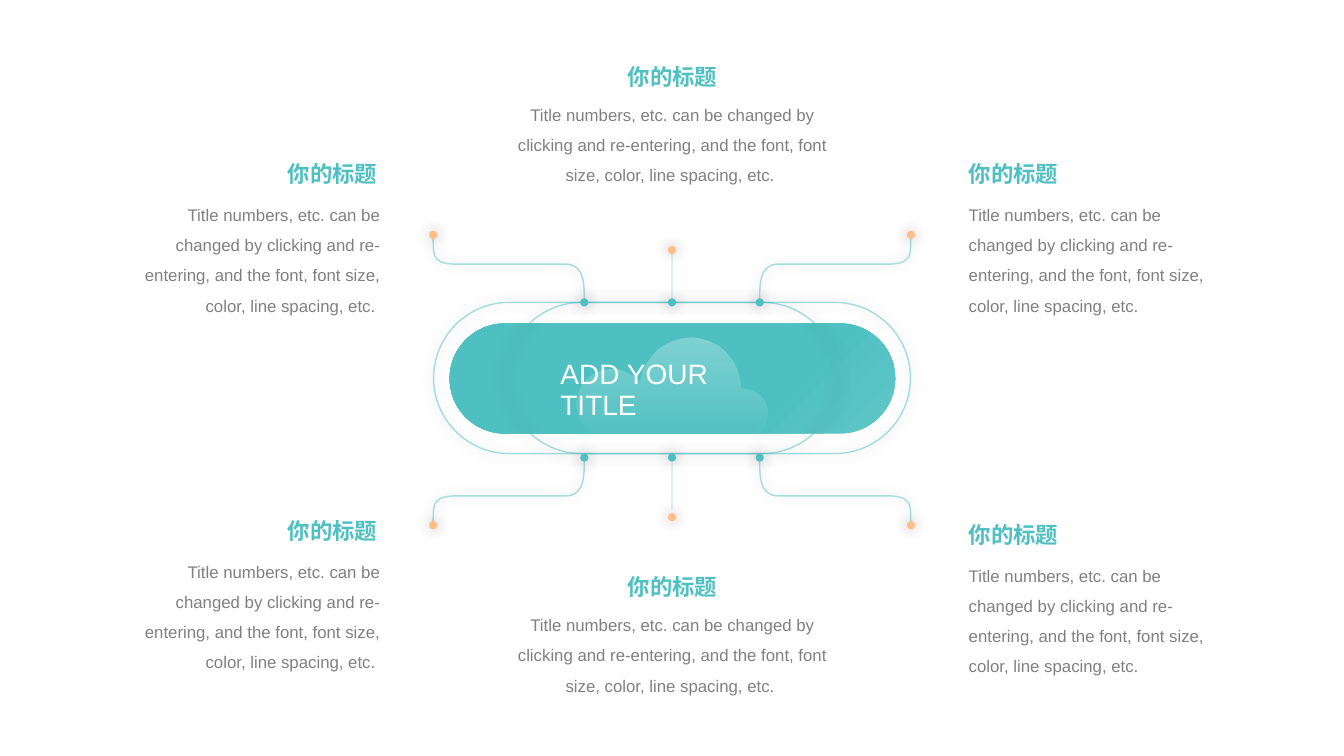
from lxml import etree
from pptx import Presentation, util as u
from pptx.dml.color import RGBColor
from pptx.enum import shapes, text
from pptx.oxml import parse_xml
from pptx.oxml.ns import nsdecls, qn

COLORS = {"teal": "4EC0C1", "light_teal": "60C6C7", "orange": "FFBD87",
          "grey": "808080", "white": "FFFFFF", "mist": "F6FCFC", "black": "000000"}
LEFT, CENTER, RIGHT = text.PP_ALIGN.LEFT, text.PP_ALIGN.CENTER, text.PP_ALIGN.RIGHT
BODY = ("Title numbers, etc. can be changed by clicking and re-entering, "
        "and the font, font size, color, line spacing, etc.")

prs = Presentation()
prs.slide_width, prs.slide_height = u.Inches(13.33), u.Inches(7.5)
s = prs.slides.add_slide(prs.slide_layouts[6])


def add_text(box, words, size, color, align=LEFT, spacing=1.0, bold=False, wrap=True):
    tf = s.shapes.add_textbox(*map(u.Inches, box)).text_frame
    tf.word_wrap = wrap
    tf.auto_size = text.MSO_AUTO_SIZE.SHAPE_TO_FIT_TEXT
    tf.text = words
    p = tf.paragraphs[0]
    p.alignment, p.line_spacing = align, spacing
    font = p.runs[0].font
    font.name, font.size, font.bold = "Arial", u.Pt(size), bold
    font.color.rgb = RGBColor.from_string(COLORS[color])


def add_outline(start, segments, closed):
    """Draw cubic curves (three points) and straight lines (one point)."""
    builder = s.shapes.build_freeform(u.Inches(start[0]), u.Inches(start[1]))
    builder.add_line_segments([(u.Inches(seg[-1][0]), u.Inches(seg[-1][1]))
                               for seg in segments], close=closed)
    sp = builder.convert_to_shape()
    # Turn the straight steps that have control points into curves
    for step, seg in zip(list(sp._element.iter(qn("a:lnTo"))), segments):
        if len(seg) == 3:
            step.tag = qn("a:cubicBezTo")
            for i, (x, y) in enumerate(seg[:2]):
                step.insert(i, parse_xml(
                    f'<a:pt {nsdecls("a")} x="{u.Inches(x) - sp.left}" '
                    f'y="{u.Inches(y) - sp.top}"/>'))
    return sp


# Central pill and its title
pill = s.shapes.add_shape(shapes.MSO_SHAPE.ROUNDED_RECTANGLE,
                          *map(u.Inches, (4.46, 3.21, 4.42, 1.09)))
pill.adjustments[0] = 0.5
add_text((5.46, 3.53, 2.43, 0.4), "ADD YOUR TITLE", 20, "white", spacing=0.9)

# Two overlapping rings around the pill
outlines, dots = [], []
for x in (4.3, 5.02):
    ring = s.shapes.add_shape(shapes.MSO_SHAPE.ROUNDED_RECTANGLE,
                              *map(u.Inches, (x, 3, 4.01, 1.5)))
    ring.adjustments[0] = 0.5
    outlines.append(ring)

# Leads above (-1) and below (+1) the pill
MID_X, INNER, OUTER, DOT = 13.33 / 2, 0.87, 2.37, 0.08
lines = []
for up, y, reach in ((-1, 3, 0.52), (1, 4.54, 0.59)):
    stem = s.shapes.add_connector(shapes.MSO_CONNECTOR.STRAIGHT, *map(
        u.Inches, (MID_X, y + up * 0.52, MID_X, y + up * 0.04)))
    stem.line.width = u.Pt(0.5)
    lines.append(stem)
    for side in (-1, 1):
        bend = [[(MID_X + side * dx, y + up * dy) for dx, dy in seg] for seg in (
            [(INNER, 0)],
            [(INNER, 0.17), (0.86, 0.38), (1.06, 0.38)],
            [(2.17, 0.38)],
            [(2.4, 0.39), (2.36, 0.5), (OUTER, 0.65)])]
        outlines.append(add_outline(bend[0][0], bend[1:], False))
    for side in (-1, 0, 1):
        tip = (OUTER, 0.67) if side else (0, reach)
        for dx, dy, color in ((INNER, 0, "teal"), (*tip, "orange")):
            dot = s.shapes.add_shape(shapes.MSO_SHAPE.OVAL, *map(u.Inches, (
                MID_X + side * dx - DOT / 2, y + up * dy - DOT / 2, DOT, DOT)))
            dot.fill.solid()
            dot.fill.fore_color.rgb = RGBColor.from_string(COLORS[color])
            dot.line.fill.background()
            dots.append(dot)

# Half-transparent teal lines
for shape in outlines:
    shape.fill.background()
    shape.line.width = u.Pt(1)
for shape in outlines + lines:
    shape.line.color.rgb = RGBColor.from_string(COLORS["teal"])
    rgb = shape._element.spPr.find(qn("a:ln")).find(".//" + qn("a:srgbClr"))
    etree.SubElement(rgb, qn("a:alpha"), val="50000")
for stem in lines:
    etree.SubElement(stem._element.spPr, qn("a:effectLst"))

# Soft glow behind rings, leads and dots
for shape in outlines + dots:
    shape.shadow.inherit = False
    shape._element.spPr.find(qn("a:effectLst")).append(parse_xml(
        f'<a:outerShdw {nsdecls("a")} blurRad="{u.Pt(10)}" dist="0" dir="0" algn="ctr" '
        f'rotWithShape="0"><a:srgbClr val="{COLORS["black"]}"><a:alpha val="40000"/>'
        '</a:srgbClr></a:outerShdw>'))

# Six captions: heading x, heading y, body x, body drop, body size, alignment
SIDE, MIDDLE = (2.67, 1.28), (3.3, 0.97)
for x, y, body_x, drop, size, align in (
        (6.12, 0.58, 5.02, 0.31, MIDDLE, CENTER),
        (9.51, 1.54, 9.51, 0.34, SIDE, LEFT),
        (2.74, 1.54, 1.2, 0.34, SIDE, RIGHT),
        (9.51, 5.12, 9.51, 0.34, SIDE, LEFT),
        (2.74, 5.08, 1.2, 0.34, SIDE, RIGHT),
        (6.12, 5.64, 5.02, 0.31, MIDDLE, CENTER)):
    body = BODY if align == LEFT else BODY + " "
    add_text((body_x, y + drop, *size), body, 12, "grey", align, 1.5)
    add_text((x, y, 1.1, 0.37), "你的标题", 16, "teal", align, bold=True, wrap=False)

# Cloud over the pill
cloud = add_outline((7.35, 3.85), [
    [(7.34, 3.85), (7.34, 3.85), (7.34, 3.85)],
    [(7.34, 3.57), (7.12, 3.35), (6.84, 3.35)],
    [(6.59, 3.35), (6.38, 3.55), (6.35, 3.79)],
    [(6.28, 3.71), (6.18, 3.66), (6.07, 3.66)],
    [(5.88, 3.66), (5.72, 3.81), (5.72, 4.01)],
    [(5.72, 4.2), (5.88, 4.35), (6.07, 4.35)],
    [(7.35, 4.35)],
    [(7.5, 4.35), (7.61, 4.24), (7.61, 4.1)],
    [(7.61, 3.97), (7.5, 3.85), (7.35, 3.85)]], True)

# Gradient fills: stops are position, colour, opacity in percent
for shape, stops, direction in (
        (pill, ((71, "teal", 100), (100, "light_teal", 100)),
         '<a:path path="circle"><a:fillToRect r="100000" b="100000"/></a:path>'),
        (cloud, ((0, "mist", 31), (100, "white", 0)), '<a:lin ang="5400000" scaled="0"/>')):
    shape.shadow.inherit = False
    shape.line.fill.background()
    shape.fill.background()
    gs = "".join(f'<a:gs pos="{pos}000"><a:srgbClr val="{COLORS[color]}">'
                 f'<a:alpha val="{alpha}000"/></a:srgbClr></a:gs>'
                 for pos, color, alpha in stops)
    spPr = shape._element.spPr
    spPr.replace(spPr.find(qn("a:noFill")), parse_xml(
        f'<a:gradFill {nsdecls("a")} rotWithShape="1"><a:gsLst>{gs}</a:gsLst>'
        f'{direction}</a:gradFill>'))

prs.save("out.pptx")
